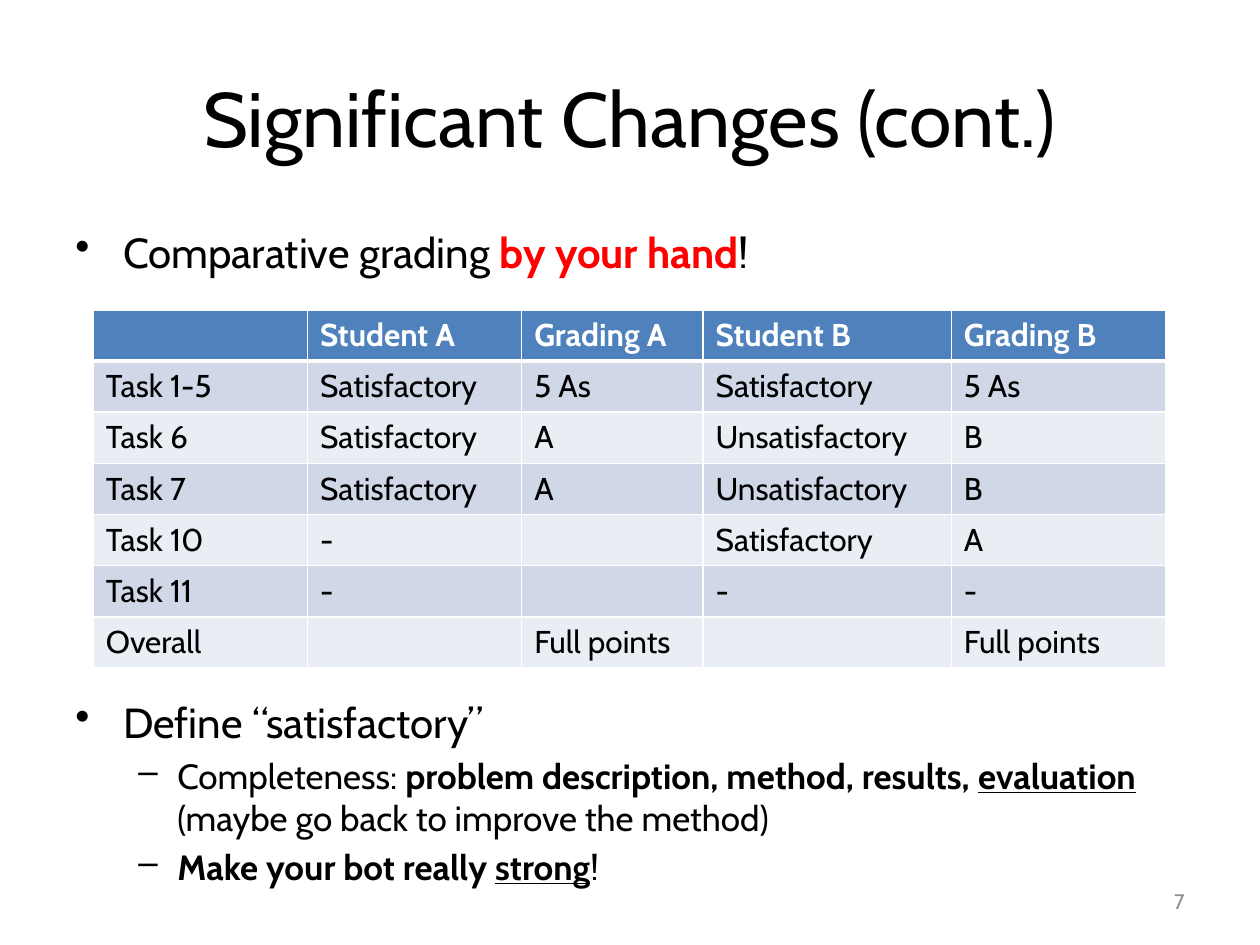
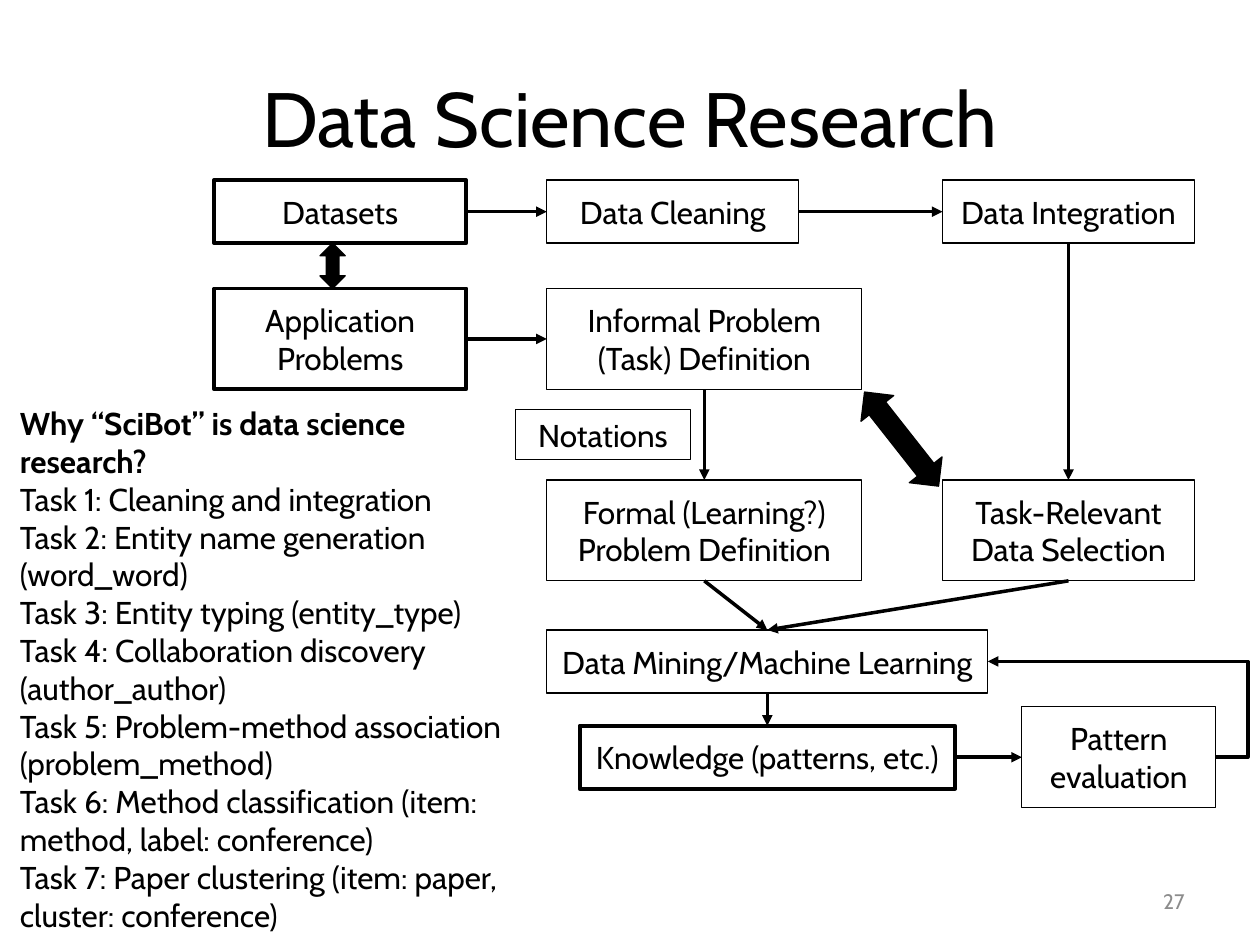
from lxml import etree
from pptx import Presentation, util as u
from pptx.dml.color import RGBColor
from pptx.enum import shapes, text
from pptx.oxml import ns

COLS, ROWS = 100, 75
FONT = "Cabin"
BLACK, WHITE, RED, GREY = "000000", "FFFFFF", "FF0000", "8C8C8C"
HEADER, BANDS = "4F81BD", ("D0D8E8", "E9EDF4")
ALIGN, ANCHOR = text.PP_ALIGN, text.MSO_ANCHOR
RECT, DOUBLE_ARROW = shapes.MSO_SHAPE.RECTANGLE, shapes.MSO_SHAPE.UP_DOWN_ARROW
STRAIGHT, ELBOW = shapes.MSO_CONNECTOR.STRAIGHT, shapes.MSO_CONNECTOR.ELBOW
TOP, LEFT, BOTTOM, RIGHT = range(4)
STRONG, KEY = {"bold": True}, {"bold": True, "underline": True}
LEVELS = (("•", 3.8, -3.8, 24), ("–", 8.1, -3.1, 20))


def rgb(value):
    """Turn a hex string into a colour."""
    return RGBColor.from_string(value)


def sub(parent, tag, **attrs):
    """Append a DrawingML element."""
    return etree.SubElement(parent, ns.qn("a:" + tag), {k: str(v) for k, v in attrs.items()})


class Deck:
    """Hold the shared style and the current slide."""

    def __init__(self):
        """Open an empty deck of 10 by 7.5 inches."""
        self.prs = Presentation()
        self.prs.slide_width, self.prs.slide_height = u.Inches(10), u.Inches(7.5)

    def x(self, cols):
        """Convert grid columns to a length."""
        return round(self.prs.slide_width * cols / COLS)

    def y(self, rows):
        """Convert grid rows to a length."""
        return round(self.prs.slide_height * rows / ROWS)

    def box(self, left, top, width, height):
        """Convert a grid rectangle to lengths."""
        return self.x(left), self.y(top), self.x(width), self.y(height)

    def slide(self, title, number):
        """Start a slide with its title and page number."""
        self.s = self.prs.slides.add_slide(self.prs.slide_layouts[6])
        self.text((5, 3, 90, 12.5), [title], 44, ALIGN.CENTER, ANCHOR.MIDDLE)
        self.text((71.7, 69.5, 23.3, 4), [str(number)], 12, ALIGN.RIGHT, ANCHOR.MIDDLE, GREY)

    def runs(self, p, parts, size, color=BLACK):
        """Fill a paragraph from a string or from (string, format) pairs."""
        for words, extra in [(parts, {})] if isinstance(parts, str) else parts:
            r = p.add_run()
            r.text = words
            fmt = {"name": FONT, "size": u.Pt(size), **extra}
            r.font.color.rgb = rgb(fmt.pop("color", color))
            for key, value in fmt.items():
                setattr(r.font, key, value)

    def frame(self, tf, paragraphs, size, align, anchor, color=BLACK):
        """Fill a text frame and yield its paragraphs."""
        tf.word_wrap, tf.vertical_anchor = True, anchor
        for i, parts in enumerate(paragraphs):
            p = tf.add_paragraph() if i else tf.paragraphs[0]
            p.alignment = align
            self.runs(p, parts, size, color)

    def text(self, at, paragraphs, size=18, align=ALIGN.LEFT, anchor=ANCHOR.TOP, color=BLACK):
        """Add a text box."""
        sp = self.s.shapes.add_textbox(*self.box(*at))
        self.frame(sp.text_frame, paragraphs, size, align, anchor, color)

    def bullets(self, at, items):
        """Add a bulleted list of (level, parts)."""
        tf = self.s.shapes.add_textbox(*self.box(*at)).text_frame
        tf.word_wrap = True
        for i, (level, parts) in enumerate(items):
            mark, margin, indent, size = LEVELS[level]
            p = tf.add_paragraph() if i else tf.paragraphs[0]
            p.level = level
            if i:
                p.space_before = u.Pt(size * 0.2)
            pPr = p._p.get_or_add_pPr()
            pPr.set("marL", str(self.x(margin)))
            pPr.set("indent", str(self.x(indent)))
            sub(pPr, "buChar", char=mark)
            self.runs(p, parts, size)

    def shape(self, kind, at, line=0.75, fill=None, rotation=0):
        """Add an outlined preset shape."""
        sp = self.s.shapes.add_shape(kind, *self.box(*at))
        sp.shadow.inherit = False
        sp.rotation = rotation
        sp.line.color.rgb, sp.line.width = rgb(BLACK), u.Pt(line)
        if fill:
            sp.fill.solid()
            sp.fill.fore_color.rgb = rgb(fill)
        else:
            sp.fill.background()
        return sp

    def node(self, label, at, line=0.75):
        """Add a labelled rectangle."""
        sp = self.shape(RECT, at, line)
        self.frame(sp.text_frame, [label], 18, ALIGN.CENTER, ANCHOR.MIDDLE)
        return sp

    def connector(self, kind, start=(0, 0), end=(0, 0)):
        """Add a connector with an arrowhead at its end."""
        c = self.s.shapes.add_connector(kind, *(f(v) for f, v in zip((self.x, self.y) * 2, start + end)))
        c.line.color.rgb, c.line.width = rgb(BLACK), u.Pt(2)
        sub(c.line._get_or_add_ln(), "tailEnd", type="triangle")
        sub(c._element.spPr, "effectLst")
        return c

    def link(self, start, start_side, end, end_side):
        """Join two rectangles with a straight arrow."""
        c = self.connector(STRAIGHT)
        c.begin_connect(start, start_side)
        c.end_connect(end, end_side)

    def elbow(self, start, end, bend):
        """Add a bent arrow whose turn lies at a share of its width."""
        geom = self.connector(ELBOW, start, end)._element.spPr.find(ns.qn("a:prstGeom"))
        guides = geom.find(ns.qn("a:avLst"))
        if guides is None:
            guides = sub(geom, "avLst")
        sub(guides, "gd", name="adj1", fmla=f"val {round(bend * 100000)}")

    def table(self, left, top, widths, height, rows):
        """Add a banded table with white borders."""
        at = self.box(left, top, sum(widths), height * len(rows))
        table = self.s.shapes.add_table(len(rows), len(widths), *at).table
        for column, width in zip(table.columns, widths):
            column.width = self.x(width)
        for i, row in enumerate(rows):
            table.rows[i].height = self.y(height)
            for j, words in enumerate(row):
                self.cell(table.cell(i, j), words, i)

    def cell(self, cell, words, row):
        """Style and fill one table cell."""
        tcPr = cell._tc.get_or_add_tcPr()
        for side in "LRTB":
            thick = (row, side) in ((0, "B"), (1, "T"))
            ln = sub(tcPr, "ln" + side, w=u.Pt(3 if thick else 1))
            sub(sub(ln, "solidFill"), "srgbClr", val=WHITE)
        cell.fill.solid()
        cell.fill.fore_color.rgb = rgb(BANDS[(row - 1) % 2] if row else HEADER)
        if words:
            fmt = {} if row else {"bold": True, "color": WHITE}
            self.runs(cell.text_frame.paragraphs[0], [(words, fmt)], 18)


def grading(d):
    """Build the grading slide."""
    d.slide("Significant Changes (cont.)", 7)
    d.bullets((5, 17.5, 90, 6), [
        (0, [("Comparative grading ", {}), ("by your hand", {"bold": True, "color": RED}), ("!", {})])])
    d.bullets((5, 54.8, 90, 18), [
        (0, "Define “satisfactory”"),
        (1, [("Completeness: ", {}), ("problem description, method, results, ", STRONG),
             ("evaluation", KEY), (" ", STRONG), ("(maybe go back to improve the method)", {})]),
        (1, [("Make your bot really ", STRONG), ("strong", KEY), ("!", {})])])
    d.table(7.4, 24.6, (17, 17, 14.4, 19.7, 17), 4.06, [
        ("", "Student A", "Grading A", "Student B", "Grading B"),
        ("Task 1-5", "Satisfactory", "5 As", "Satisfactory", "5 As"),
        ("Task 6", "Satisfactory", "A", "Unsatisfactory", "B"),
        ("Task 7", "Satisfactory", "A", "Unsatisfactory", "B"),
        ("Task 10", "-", "", "Satisfactory", "A"),
        ("Task 11", "-", "", "-", "-"),
        ("Overall", "", "Full points", "", "Full points")])


def research(d):
    """Build the research workflow slide."""
    d.slide("Data Science Research", 27)
    left, middle, right = 17, 43.4, 74.8
    first, second, third = 14.3, 22.9, 38.1
    low, tall, bold = 5, 8, 2.25
    datasets = d.node("Datasets", (left, first, 20, low), bold)
    problems = d.node("Application Problems", (left, second, 20, tall), bold)
    informal = d.node("Informal Problem (Task) Definition", (middle, second, 25, tall))
    formal = d.node("Formal (Learning?) Problem Definition", (middle, third, 25, tall))
    cleaning = d.node("Data Cleaning", (middle, first, 20, low))
    integration = d.node("Data Integration", (right, first, 20, low))
    selection = d.node("Task-Relevant Data Selection", (right, third, 20, tall))
    mining = d.node("Data Mining/Machine Learning", (middle, 50, 35, low))
    knowledge = d.node("Knowledge (patterns, etc.)", (46, 57.6, 29.8, low), bold)
    evaluation = d.node("Pattern evaluation", (81.1, 56.1, 15.4, tall))
    d.node("Notations", (40.9, 32.5, 13.9, 4))
    for ends in (
            (datasets, RIGHT, cleaning, LEFT), (cleaning, RIGHT, integration, LEFT),
            (integration, BOTTOM, selection, TOP), (problems, RIGHT, informal, LEFT),
            (informal, BOTTOM, formal, TOP), (formal, BOTTOM, mining, TOP),
            (selection, BOTTOM, mining, TOP), (mining, BOTTOM, knowledge, TOP),
            (knowledge, RIGHT, evaluation, LEFT)):
        d.link(*ends)
    d.elbow((96.5, 60.1), (78.4, 52.5), -0.14)
    d.shape(DOUBLE_ARROW, (25.4, 19.3, 2, 3.6), fill=BLACK)
    d.shape(DOUBLE_ARROW, (69.9, 30.1, 3.3, 9.5), fill=BLACK, rotation=141.8)
    d.text((0.6, 31.6, 40.6, 43.4), [
        [("Why “SciBot” is data science research?", STRONG)],
        "Task 1: Cleaning and integration",
        "Task 2: Entity name generation (word_word)",
        "Task 3: Entity typing (entity_type)",
        "Task 4: Collaboration discovery (author_author)",
        "Task 5: Problem-method association (problem_method)",
        "Task 6: Method classification (item: method, label: conference)",
        "Task 7: Paper clustering (item: paper, cluster: conference)"])


def main():
    """Build and save the deck."""
    d = Deck()
    grading(d)
    research(d)
    d.prs.save("out.pptx")


if __name__ == "__main__":
    main()
